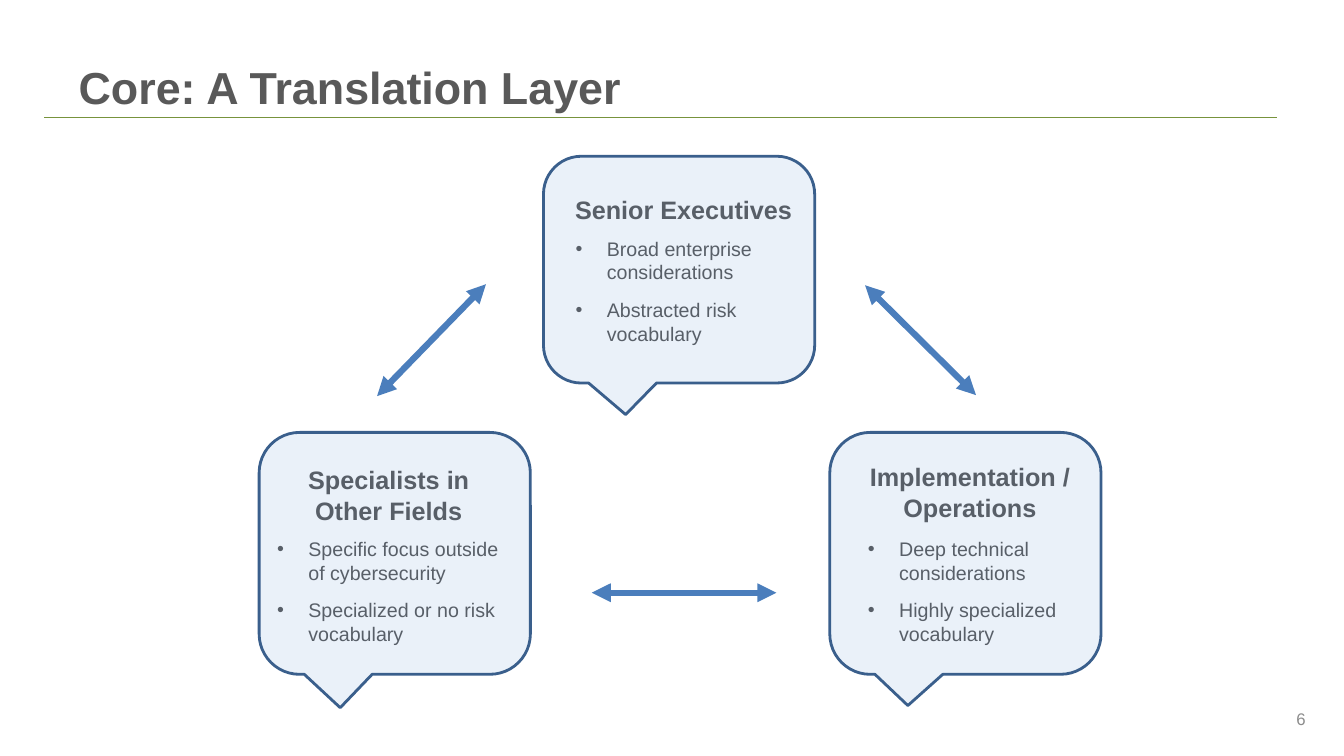
from lxml import etree
from pptx import Presentation
from pptx.dml.color import RGBColor
from pptx.enum.shapes import MSO_CONNECTOR, MSO_SHAPE
from pptx.enum.text import MSO_ANCHOR, MSO_AUTO_SIZE, PP_ALIGN
from pptx.oxml.ns import qn
from pptx.util import Inches, Pt

STRAIGHT = MSO_CONNECTOR.STRAIGHT
CALLOUT = MSO_SHAPE.ROUNDED_RECTANGULAR_CALLOUT
LEFT, CENTER, RIGHT = PP_ALIGN.LEFT, PP_ALIGN.CENTER, PP_ALIGN.RIGHT
TOP, MIDDLE, BOTTOM = MSO_ANCHOR.TOP, MSO_ANCHOR.MIDDLE, MSO_ANCHOR.BOTTOM

TEXT_GRAY = RGBColor(0x59, 0x59, 0x59)
NUMBER_GRAY = RGBColor(0x8C, 0x8C, 0x8C)
RULE_GREEN = RGBColor(0x77, 0x93, 0x3C)
ARROW_BLUE = RGBColor(0x4B, 0x7E, 0xBC)
CALLOUT_FILL = RGBColor(0x55, 0x8E, 0xD5)
CALLOUT_LINE = RGBColor(0x3A, 0x5F, 0x8C)

prs = Presentation()
prs.slide_width, prs.slide_height = Inches(13.33), Inches(7.5)
slide = prs.slides.add_slide(prs.slide_layouts[5])
shapes = slide.shapes


def write(box, lines, size=14, color=TEXT_GRAY, bold=False, align=LEFT,
          anchor=TOP, bullets=False, spacing=None):
    frame = box.text_frame
    frame.word_wrap = True
    frame.auto_size = MSO_AUTO_SIZE.NONE
    frame.vertical_anchor = anchor
    frame.text = "\n".join(lines)
    for paragraph in frame.paragraphs:
        paragraph.alignment = align
        if spacing:
            paragraph.line_spacing = Pt(spacing)
        if bullets:
            paragraph.space_after = Pt(10)
            props = paragraph._p.get_or_add_pPr()
            props.set("marL", str(Inches(0.31)))
            props.set("indent", str(-Inches(0.31)))
            etree.SubElement(props, qn("a:buFont")).set("typeface", "Arial")
            etree.SubElement(props, qn("a:buChar")).set("char", "•")
        font = paragraph.runs[0].font
        font.name, font.size, font.bold = "Arial", Pt(size), bold
        font.color.rgb = color


def connect(x1, y1, x2, y2, color, width, arrows=False):
    connector = shapes.add_connector(
        STRAIGHT, Inches(x1), Inches(y1), Inches(x2), Inches(y2))
    connector.line.color.rgb = color
    connector.line.width = Pt(width)
    if arrows:
        for end in ("a:headEnd", "a:tailEnd"):
            etree.SubElement(connector.line._ln, qn(end)).set("type", "triangle")
    etree.SubElement(connector._element.spPr, qn("a:effectLst"))


# Title, rule below it and slide number
title = shapes.title
title.left, title.top = Inches(0.68), Inches(0.35)
title.width, title.height = Inches(9.25), Inches(0.83)
write(title, ["Core: A Translation Layer"], size=32, bold=True,
      anchor=BOTTOM, spacing=26)
connect(0.44, 1.17, 12.67, 1.17, RULE_GREEN, 0.75)
number = shapes.add_textbox(Inches(10.72), Inches(6.93), Inches(2.33), Inches(0.4))
write(number, ["6"], size=12, color=NUMBER_GRAY, align=RIGHT, anchor=MIDDLE)

# Audiences: heading, its box, points, their box, callout box, pointer tip
audiences = [
    ("Senior Executives", (5.47, 1.88, 2.62, 0.4),
     ["Broad enterprise considerations", "Abstracted risk vocabulary"],
     (5.61, 2.3, 2.19, 1.18), (5.39, 1.55, 2.69, 2.25), (-0.197, 0.639)),
    ("Implementation / Operations", (8.14, 4.53, 2.96, 0.71),
     ["Deep technical considerations", "Highly specialized vocabulary"],
     (8.51, 5.28, 2.22, 1.18), (8.23, 4.29, 2.69, 2.4), (-0.212, 0.629)),
    ("Specialists in Other Fields", (2.65, 4.56, 2.41, 0.71),
     ["Specific focus outside of cybersecurity",
      "Specialized or no risk vocabulary"],
     (2.65, 5.28, 2.49, 1.18), (2.57, 4.29, 2.69, 2.4), (-0.201, 0.638)),
]
for heading, heading_box, points, points_box, callout_box, tip in audiences:
    write(shapes.add_textbox(*map(Inches, heading_box)), [heading],
          size=18, bold=True, align=CENTER)
    write(shapes.add_textbox(*map(Inches, points_box)), points, bullets=True)

    # Translucent callout tints the text beneath it
    callout = shapes.add_shape(CALLOUT, *map(Inches, callout_box))
    callout.shadow.inherit = False
    for index, value in enumerate((*tip, 0.167)):
        callout.adjustments[index] = value
    callout.fill.solid()
    callout.fill.fore_color.rgb = CALLOUT_FILL
    fill_color = callout._element.spPr.find(qn("a:solidFill"))[0]
    etree.SubElement(fill_color, qn("a:alpha")).set("val", "12000")
    callout.line.color.rgb = CALLOUT_LINE
    callout.line.width = Pt(2)

# Two-way arrows between the audiences
for ends in [(8.58, 2.83, 9.68, 3.92), (5.87, 5.88, 7.7, 5.88),
             (3.74, 3.93, 4.82, 2.82)]:
    connect(*ends, ARROW_BLUE, 4.5, arrows=True)

prs.save("out.pptx")
